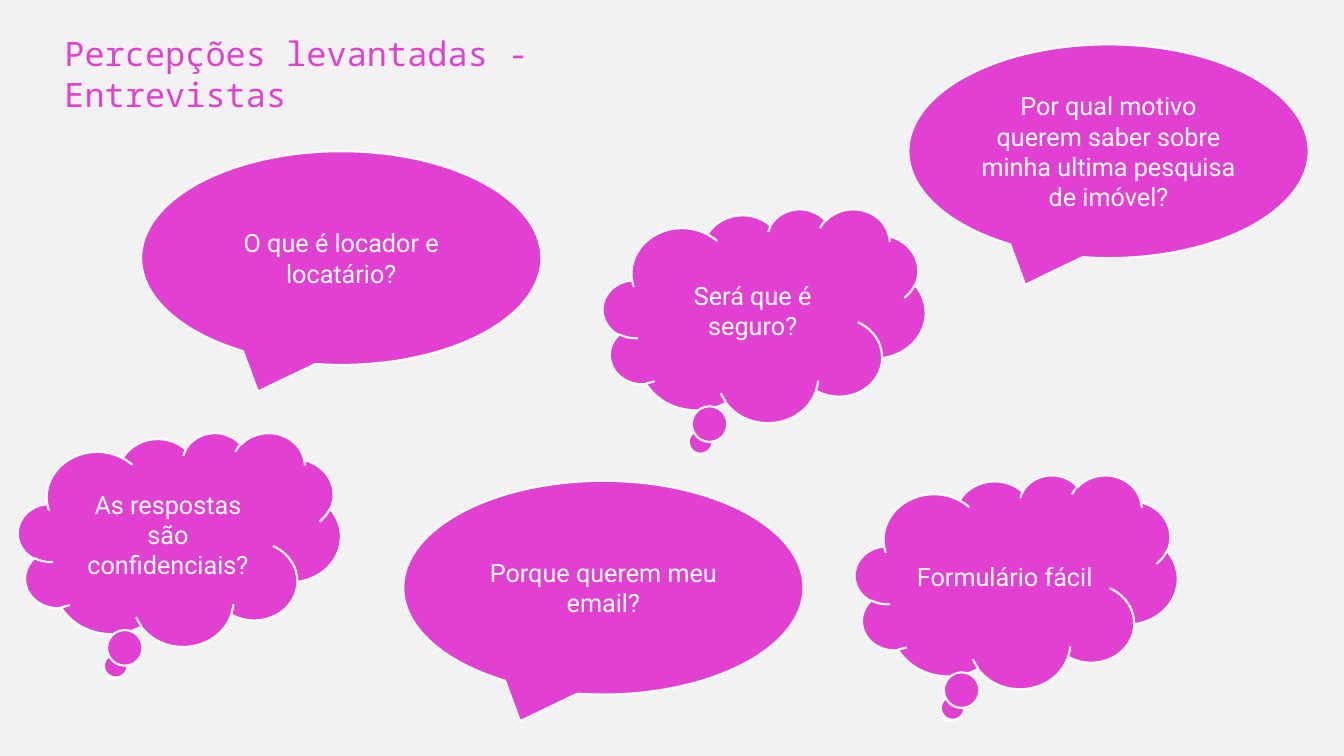
import dataclasses

import pptx
import pptx.dml.color
import pptx.enum.shapes
import pptx.enum.text
import pptx.util

Inches = pptx.util.Inches
Pt = pptx.util.Pt
RGBColor = pptx.dml.color.RGBColor
Callout = pptx.enum.shapes.MSO_SHAPE


@dataclasses.dataclass(frozen=True)
class Theme:
    background: RGBColor = RGBColor.from_string("F2F2F2")
    accent: RGBColor = RGBColor.from_string("E240D2")
    light: RGBColor = RGBColor.from_string("FFFFFF")
    title_font: str = "Noto Sans Mono"
    quote_font: str = "Roboto"
    title_size: int = Pt(24)
    quote_size: int = Pt(18)
    outline: int = Pt(1.5)


THEME = Theme()

THOUGHT = (Callout.CLOUD_CALLOUT, 3.2, 2.12)
SPEECH = (Callout.OVAL_CALLOUT, 3.97, 2.12)

PERCEPTIONS = [
    (THOUGHT, 0.18, 4.29, "As respostas são confidenciais?"),
    (SPEECH, 9.01, 0.44, "Por qual motivo querem saber sobre minha ultima pesquisa de imóvel?"),
    (SPEECH, 4, 4.77, "Porque querem meu email?"),
    (THOUGHT, 8.48, 4.71, "Formulário fácil"),
    (SPEECH, 1.4, 1.5, "O que é locador e locatário?"),
    (THOUGHT, 5.98, 2.07, "Será que é seguro?"),
]


def style_text(paragraph, font, size, color):
    paragraph.font.name = font
    paragraph.font.size = size
    paragraph.font.color.rgb = color


def add_title(slide, left, top, width, height, wording):
    title = slide.shapes.add_textbox(Inches(left), Inches(top), Inches(width), Inches(height))
    frame = title.text_frame
    frame.word_wrap = True
    frame.auto_size = pptx.enum.text.MSO_AUTO_SIZE.SHAPE_TO_FIT_TEXT
    frame.text = wording
    style_text(frame.paragraphs[0], THEME.title_font, THEME.title_size, THEME.accent)


def add_balloon(slide, left, top, width, height, outline, quote):
    balloon = slide.shapes.add_shape(
        outline, Inches(left), Inches(top), Inches(width), Inches(height)
    )
    balloon.shadow.inherit = False
    balloon.fill.solid()
    balloon.fill.fore_color.rgb = THEME.accent
    balloon.line.color.rgb = THEME.light
    balloon.line.width = THEME.outline
    frame = balloon.text_frame
    frame.word_wrap = True
    frame.vertical_anchor = pptx.enum.text.MSO_ANCHOR.MIDDLE
    frame.text = quote
    paragraph = frame.paragraphs[0]
    paragraph.alignment = pptx.enum.text.PP_ALIGN.CENTER
    style_text(paragraph, THEME.quote_font, THEME.quote_size, THEME.light)


def build_perceptions_slide(deck):
    slide = deck.slides.add_slide(deck.slide_layouts[6])
    slide.background.fill.solid()
    slide.background.fill.fore_color.rgb = THEME.background
    for (outline, width, height), left, top, quote in PERCEPTIONS:
        add_balloon(slide, left, top, width, height, outline, quote)
    add_title(slide, 0.54, 0.28, 5.04, 0.9, "Percepções levantadas - Entrevistas")


def main():
    deck = pptx.Presentation()
    deck.slide_width = Inches(13.33)
    deck.slide_height = Inches(7.5)
    build_perceptions_slide(deck)
    deck.save("out.pptx")


if __name__ == "__main__":
    main()
